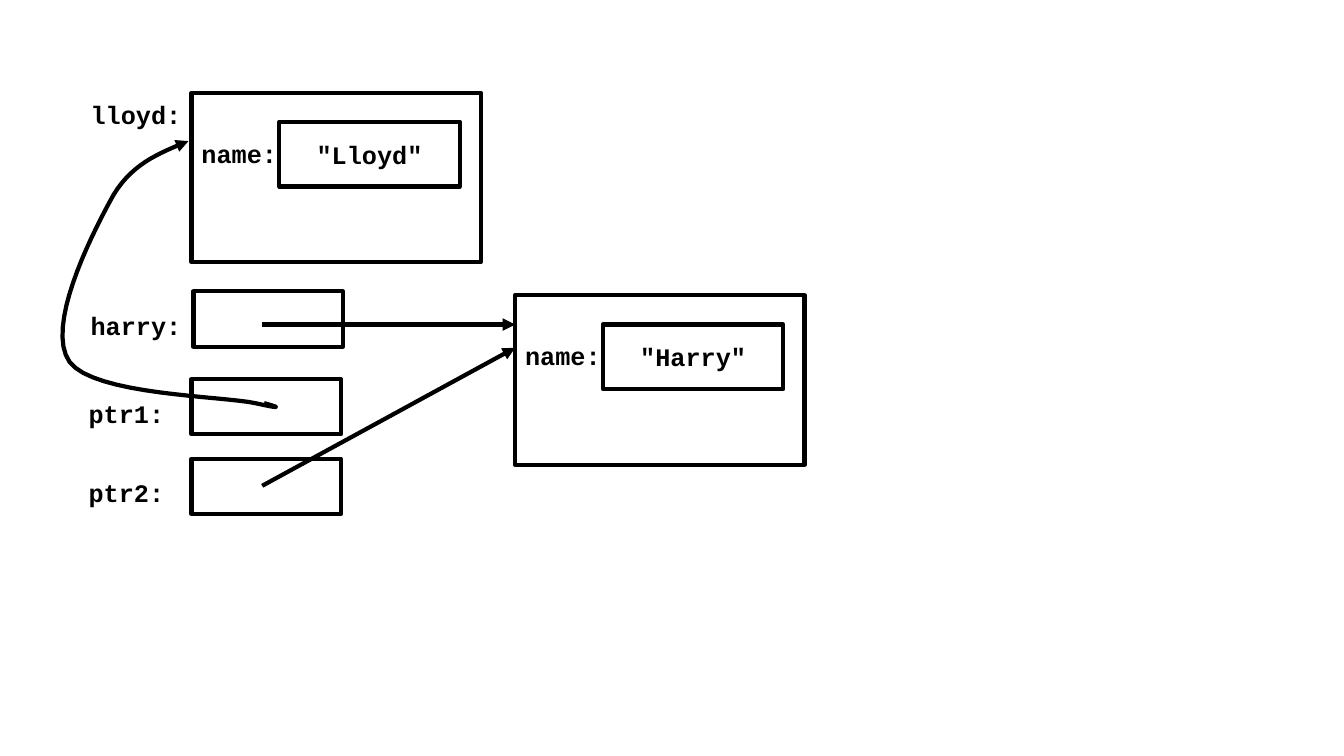
from dataclasses import dataclass

from lxml import etree
from pptx import Presentation
from pptx.dml.color import RGBColor
from pptx.enum.shapes import MSO_CONNECTOR, MSO_SHAPE
from pptx.enum.text import MSO_ANCHOR, MSO_AUTO_SIZE, PP_ALIGN
from pptx.oxml.ns import qn
from pptx.util import Inches, Pt

STRAIGHT = MSO_CONNECTOR.STRAIGHT
RECTANGLE = MSO_SHAPE.RECTANGLE
MIDDLE = MSO_ANCHOR.MIDDLE
FIT_SHAPE = MSO_AUTO_SIZE.SHAPE_TO_FIT_TEXT
CENTER = PP_ALIGN.CENTER

COLUMNS, ROWS = 1333, 750
SLIDE_WIDTH, SLIDE_HEIGHT = Inches(13.33), Inches(7.5)
INK = "000000"
LINE_WIDTH = Pt(3)
FONT_FORMAT = {"name": "Courier New", "size": Pt(18), "bold": True}
CURVE_STEPS = 16

Point = tuple[float, float]


@dataclass(frozen=True)
class Area:
    column: float
    row: float
    columns: float
    rows: float


@dataclass(frozen=True)
class Label:
    text: str
    area: Area


@dataclass(frozen=True)
class Person:
    name: str
    column: float
    row: float


@dataclass(frozen=True)
class Arrow:
    start: Point
    end: Point


LABELS = [
    Label("lloyd:", Area(80, 94, 111, 40)),
    Label("harry:", Area(80, 303, 111, 40)),
    Label("ptr1:", Area(78, 390, 96, 40)),
    Label("ptr2:", Area(78, 469, 96, 40)),
]
PEOPLE = [Person('"Lloyd"', 190, 92), Person('"Harry"', 511, 293)]
POINTERS = [Area(column, row, 148, 55) for column, row in [(192, 289), (190, 376), (190, 455)]]
ARROWS = [Arrow((260, 322), (511, 322)), Arrow((260, 482), (511, 345))]
LLOYD_START: Point = (262, 400)
LLOYD_CURVES: list[tuple[Point, Point, Point]] = [
    ((273, 403), (285, 407), (253, 400)),
    ((221, 393), (93, 392), (69, 359)),
    ((45, 325), (89, 237), (109, 200)),
    ((128, 163), (158, 152), (187, 140)),
]


def color(value: str) -> RGBColor:
    return RGBColor.from_string(value)


def place(point: Point) -> tuple[int, int]:
    return round(point[0] * SLIDE_WIDTH / COLUMNS), round(point[1] * SLIDE_HEIGHT / ROWS)


def bounds(area: Area) -> tuple[int, int, int, int]:
    return place((area.column, area.row)) + place((area.columns, area.rows))


def write(box, text: str) -> None:
    para = box.text_frame.paragraphs[0]
    span = para.add_run()
    span.text = text
    for name, value in FONT_FORMAT.items():
        setattr(span.font, name, value)
    span.font.color.rgb = color(INK)


def outline(shape) -> None:
    shape.line.color.rgb = color(INK)
    shape.line.width = LINE_WIDTH


def add_arrowhead(shape) -> None:
    etree.SubElement(shape.line._get_or_add_ln(), qn("a:tailEnd"), type="triangle")


def draw_label(page, label: Label) -> None:
    box = page.shapes.add_textbox(*bounds(label.area))
    box.text_frame.word_wrap = False
    box.text_frame.auto_size = FIT_SHAPE
    write(box, label.text)


def draw_box(page, area: Area, text: str = "") -> None:
    box = page.shapes.add_shape(RECTANGLE, *bounds(area))
    box.shadow.inherit = False
    box.fill.background()
    outline(box)
    if text:
        box.text_frame.vertical_anchor = MIDDLE
        box.text_frame.paragraphs[0].alignment = CENTER
        write(box, text)


def draw_person(page, person: Person) -> None:
    draw_label(page, Label("name:", Area(person.column, person.row + 40, 96, 40)))
    draw_box(page, Area(person.column, person.row, 287, 168))
    draw_box(page, Area(person.column + 87, person.row + 29, 179, 64), person.name)


def draw_arrow(page, arrow: Arrow) -> None:
    line = page.shapes.add_connector(STRAIGHT, *place(arrow.start), *place(arrow.end))
    etree.SubElement(line._element.spPr, qn("a:effectLst"))
    outline(line)
    add_arrowhead(line)


def curve_point(corners: list[Point], share: float) -> Point:
    rest = 1 - share
    weights = (rest**3, 3 * rest**2 * share, 3 * rest * share**2, share**3)
    column, row = (sum(w * c for w, c in zip(weights, axis)) for axis in zip(*corners))
    return column, row


def draw_curved_arrow(page, start: Point, curves: list[tuple[Point, Point, Point]]) -> None:
    builder = page.shapes.build_freeform(*place(start))
    for curve in curves:
        corners = [start, *curve]
        shares = [step / CURVE_STEPS for step in range(1, CURVE_STEPS + 1)]
        builder.add_line_segments([place(curve_point(corners, s)) for s in shares], close=False)
        start = curve[-1]
    path_shape = builder.convert_to_shape()
    path_shape.shadow.inherit = False
    path_shape.fill.background()
    outline(path_shape)
    add_arrowhead(path_shape)


def main() -> None:
    deck = Presentation()
    deck.slide_width, deck.slide_height = SLIDE_WIDTH, SLIDE_HEIGHT
    page = deck.slides.add_slide(deck.slide_layouts[6])
    for label in LABELS:
        draw_label(page, label)
    for person in PEOPLE:
        draw_person(page, person)
    for pointer in POINTERS:
        draw_box(page, pointer)
    for arrow in ARROWS:
        draw_arrow(page, arrow)
    draw_curved_arrow(page, LLOYD_START, LLOYD_CURVES)
    deck.save("out.pptx")


if __name__ == "__main__":
    main()
